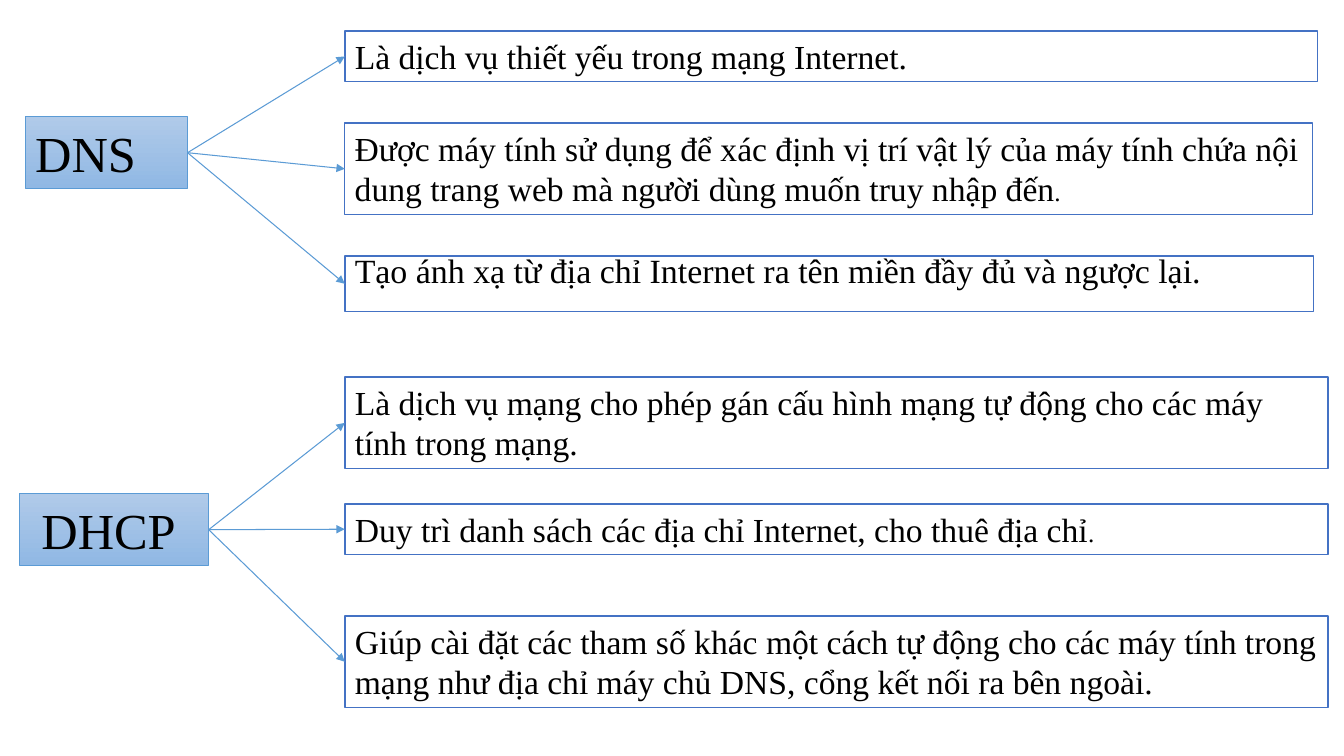
from lxml.etree import SubElement
from pptx import Presentation
from pptx.dml.color import RGBColor
from pptx.enum.shapes import MSO_CONNECTOR as LINK, MSO_SHAPE as SHAPE
from pptx.enum.text import MSO_ANCHOR as ANCHOR, MSO_AUTO_SIZE as FIT, PP_ALIGN as ALIGN
from pptx.oxml.ns import qn
from pptx.util import Inches, Pt

FONT = "Times New Roman"
INK, PAPER, BORDER, ACCENT = "000000", "FFFFFF", "4472C4", "5B9BD5"
GRADIENT = ("B0CAE9", "90B8E4")
FACT_LEFT, SERVICE_HEIGHT = 3.42, 0.71
BASE = {"size": 24, "spacing": None, "fit": FIT.SHAPE_TO_FIT_TEXT, "inset": 0.1}
SQUEEZED = {"size": 24.2, "spacing": 0.7, "fit": FIT.NONE}

SERVICES = [
    {
        "name": "DNS", "left": 0.25, "top": 1.16, "width": 1.61, "inset": 0.1,
        "facts": [
            (0.31, 9.65, 0.5, [("Là dịch vụ thiết yếu trong mạng Internet.", None)], {}),
            (1.22, 9.6, 0.91, [("Được máy tính sử dụng để xác định vị trí vật lý của máy tính chứa "
                                "nội dung trang web mà người dùng muốn truy nhập đến", None), (".", 18)], {}),
            (2.54, 9.61, 0.55, [("Tạo ánh xạ từ địa chỉ Internet ra tên miền đầy đủ và ngược lại.", None)],
             SQUEEZED),
        ],
    },
    {
        "name": "DHCP", "left": 0.19, "top": 4.9, "width": 1.88, "inset": 0.22,
        "facts": [
            (3.74, 9.75, 0.91, [("Là dịch vụ mạng cho phép gán cấu hình mạng tự động cho các máy "
                                 "tính trong mạng.", None)], {}),
            (5, 9.75, 0.5, [("Duy trì danh sách các địa chỉ Internet, cho thuê địa chỉ", None),
                            (".", 18)], {}),
            (6.11, 9.75, 0.91, [("Giúp cài đặt các tham số khác một cách tự động cho các máy tính trong "
                                 "mạng như địa chỉ máy chủ DNS, cổng kết nối ra bên ngoài.", None)], {}),
        ],
    },
]


def color(value):
    return RGBColor.from_string(value)


def add_box(slide, place, runs, border, weight, **changes):
    look = {**BASE, **changes}
    box = slide.shapes.add_shape(SHAPE.RECTANGLE, *map(Inches, place))
    box.shadow.inherit = False
    box.fill.solid()
    box.fill.fore_color.rgb = color(PAPER)
    box.line.color.rgb = color(border)
    box.line.width = Pt(weight)
    frame = box.text_frame
    settings = {
        "word_wrap": True, "auto_size": look["fit"], "vertical_anchor": ANCHOR.TOP,
        "margin_left": Inches(look["inset"]), "margin_right": Inches(0.1),
        "margin_top": Inches(0.05), "margin_bottom": Inches(0.05),
    }
    for key, value in settings.items():
        setattr(frame, key, value)
    paragraph = frame.paragraphs[0]
    paragraph.alignment = ALIGN.LEFT
    paragraph.line_spacing = look["spacing"]
    for words, size in runs:
        run = paragraph.add_run()
        run.text = words
        for key, value in {"name": FONT, "size": Pt(size or look["size"])}.items():
            setattr(run.font, key, value)
        run.font.color.rgb = color(INK)
    return box


def shade(box):
    box.fill.gradient()
    box.fill.gradient_angle = 270
    for stop, tone in zip(box.fill.gradient_stops, GRADIENT):
        stop.color.rgb = color(tone)


def add_arrow(slide, service, fact):
    arrow = slide.shapes.add_connector(LINK.STRAIGHT, 0, 0, 0, 0)
    arrow.begin_connect(service, 3)
    arrow.end_connect(fact, 1)
    arrow.line.color.rgb = color(ACCENT)
    arrow.line.width = Pt(0.75)
    SubElement(arrow.line._get_or_add_ln(), qn("a:tailEnd"), type="triangle")
    SubElement(arrow._element.spPr, qn("a:effectLst"))


def main():
    deck = Presentation()
    deck.slide_width, deck.slide_height = Inches(13.33), Inches(7.5)
    slide = deck.slides.add_slide(deck.slide_layouts[6])
    for service in SERVICES:
        place = (service["left"], service["top"], service["width"], SERVICE_HEIGHT)
        label = add_box(slide, place, [(service["name"], None)], ACCENT, 0.75,
                        size=36, inset=service["inset"])
        shade(label)
        for top, width, height, runs, changes in service["facts"]:
            fact = add_box(slide, (FACT_LEFT, top, width, height), runs, BORDER, 1, **changes)
            add_arrow(slide, label, fact)
    deck.save("out.pptx")


if __name__ == "__main__":
    main()
